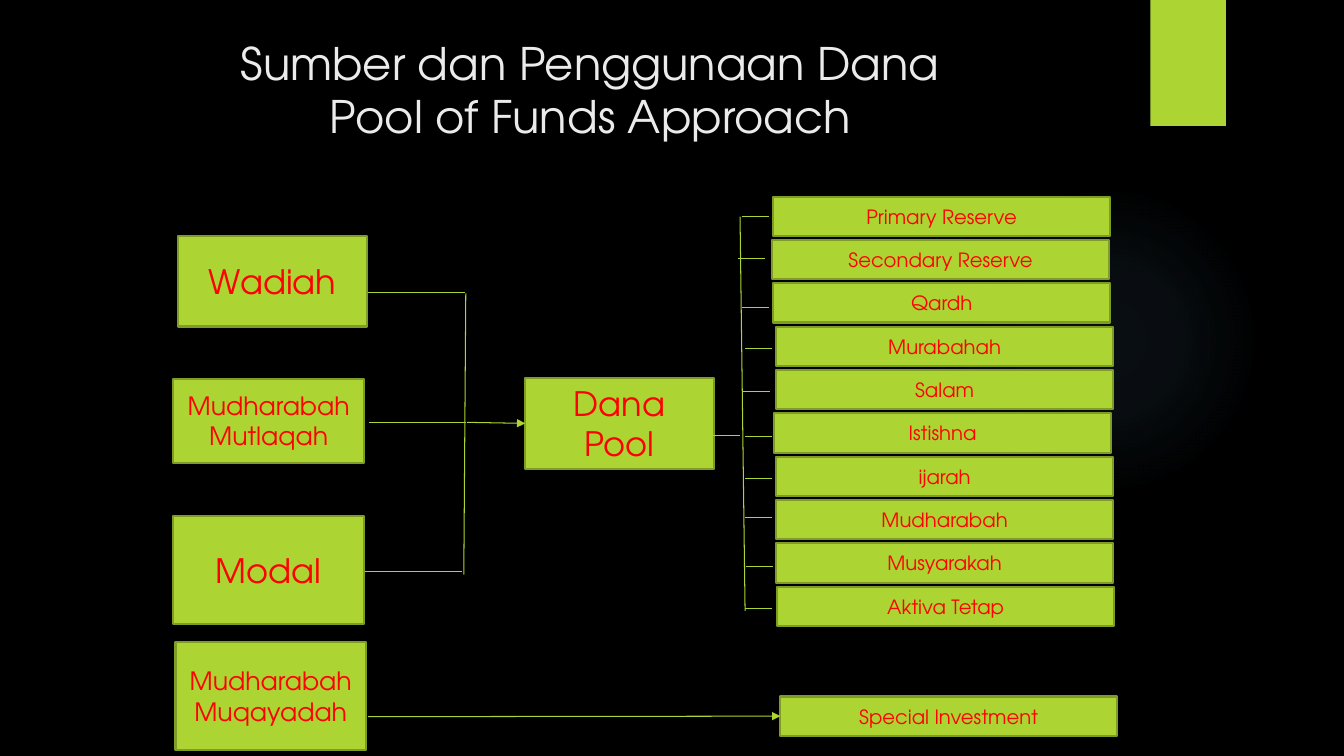
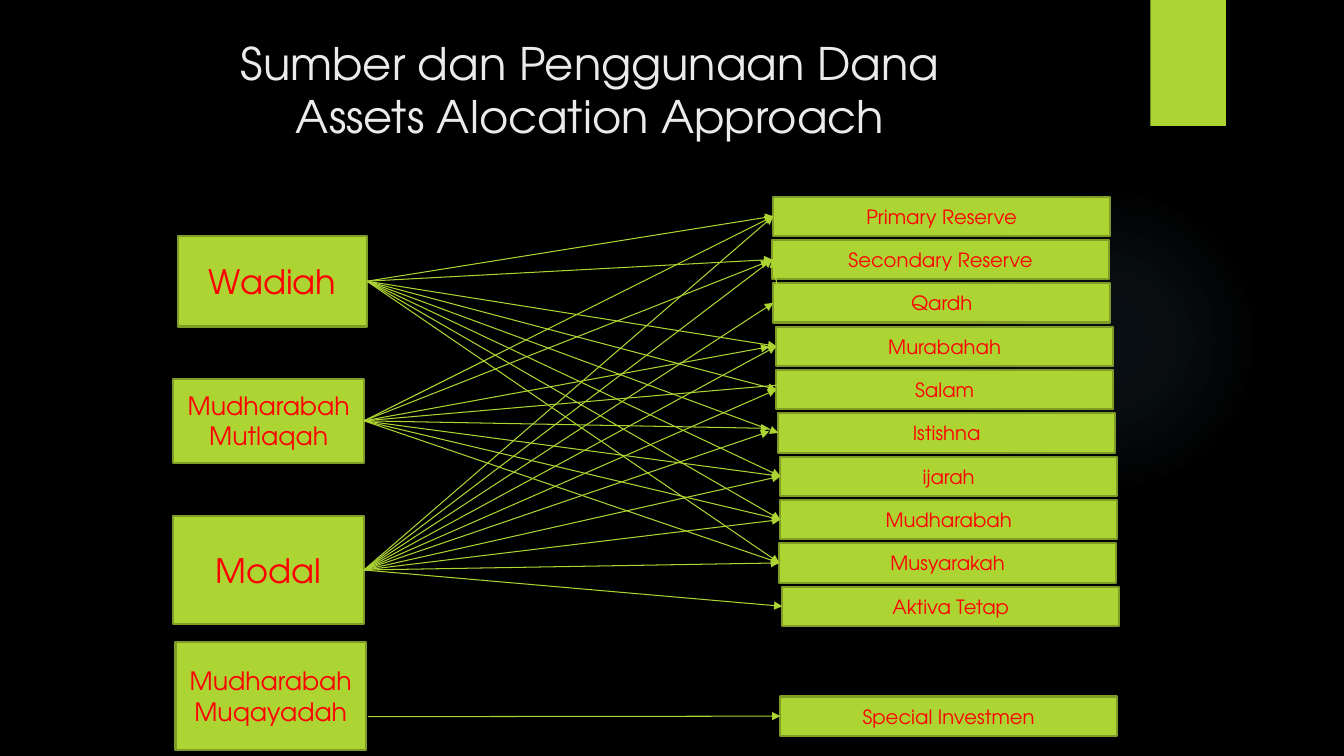
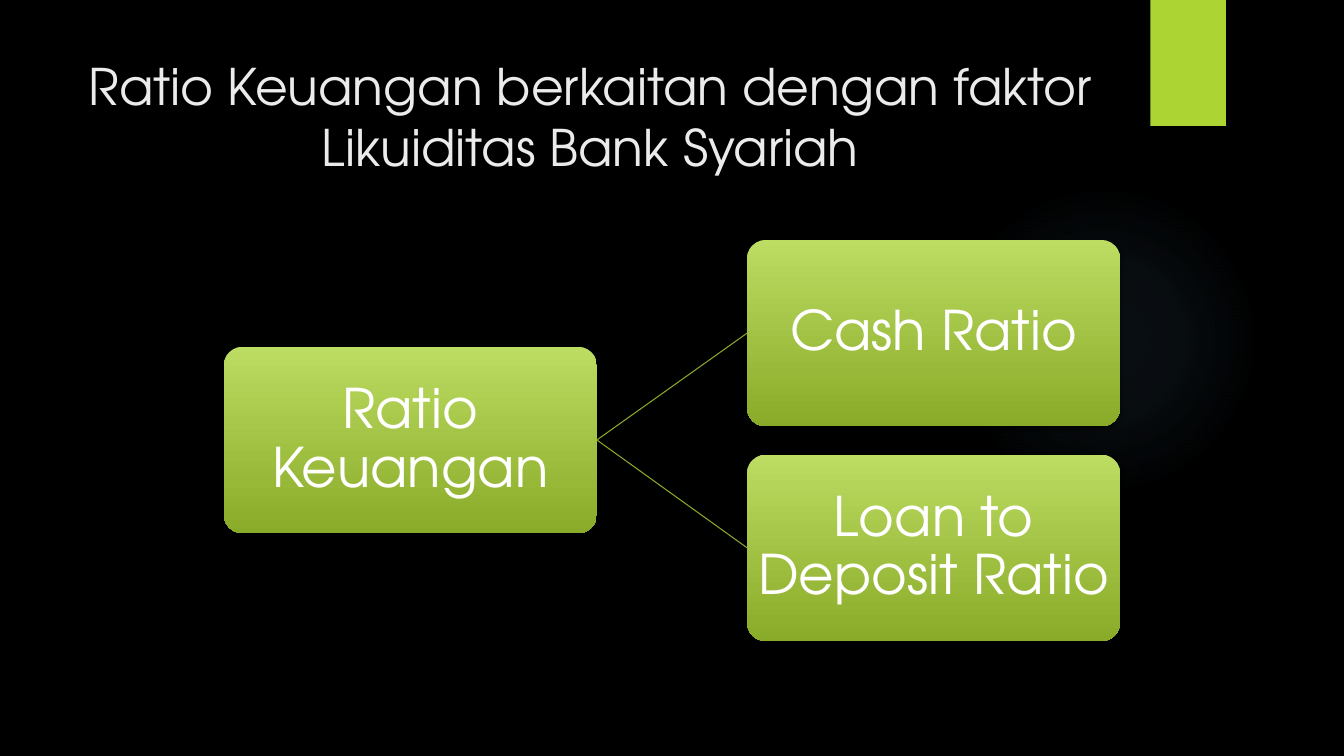
from lxml import etree
from pptx import Presentation
from pptx import util as u
from pptx.dml.color import RGBColor
from pptx.enum import shapes, text
from pptx.oxml import ns

FONT = "TeX Gyre Adventor"
COLORS = {"back": "000000", "title": "EBEBEB", "lime": "ACD433", "edge": "7F9D26",
          "label": "FF0000", "card_text": "FFFFFF", "card_top": "BCDC62",
          "card_end": "8AAA29", "glow": "7AC4F0"}

SOURCES = [
    ("Wadiah", 24, (1.77, 2.34, 1.87, 0.9)),
    ("Mudharabah Mutlaqah", 18, (1.72, 3.76, 1.89, 0.83)),
    ("Modal", 24, (1.72, 5.12, 1.89, 1.07)),
    ("Mudharabah Muqayadah", 18, (1.74, 6.37, 1.89, 1.07)),
]
USES = ["Primary Reserve", "Secondary Reserve", "Qardh", "Murabahah", "Salam",
        "Istishna", "ijarah", "Mudharabah", "Musyarakah", "Aktiva Tetap"]
USE_TOP, USE_PITCH, USE_W, USE_H = 1.95, 0.43, 3.34, 0.39

POOL = {
    "title": ["Sumber dan Penggunaan Dana", "Pool of Funds Approach"],
    "lefts": [7.67, 7.66, 7.67, 7.7, 7.7, 7.68, 7.7, 7.7, 7.7, 7.71],
    "special": "Special Investment",
    "lines": [(4.6, 5.7, 4.62, 2.91), (3.66, 4.19, 4.62, 4.19),
              (3.62, 5.67, 4.58, 5.67), (3.65, 2.9, 4.61, 2.9),
              (7.39, 6.06, 7.34, 2.15), (7.07, 4.32, 7.34, 4.32)],
    "branches": [(7.36, 2.15), (7.32, 2.56), (7.36, 3.05), (7.39, 3.46), (7.37, 3.88),
                 (7.39, 4.33), (7.39, 4.75), (7.39, 5.13), (7.4, 5.62), (7.39, 6.04)],
    "branch_w": 0.27,
}
ASSETS = {
    "title": ["Sumber dan Penggunaan Dana", "Assets Alocation Approach"],
    "lefts": [7.67, 7.66, 7.67, 7.7, 7.7, 7.72, 7.74, 7.74, 7.73, 7.76],
    "special": "Special Investmen",
    "fans": [[0, 1, 3, 4, 5, 6, 7, 8], [0, 1, 3, 4, 5, 6, 7, 8], list(range(10))],
    "free_ends": {(1, 1): (7.63, 2.59), (1, 3): (7.63, 3.44), (1, 4): (7.95, 3.8),
                  (1, 5): (7.63, 4.25), (2, 5): (7.63, 4.28)},
    "short_arrow": (7.76, 3.12, 7.66, 2.57),
}
RATIO_TITLE = ["Ratio Keuangan berkaitan dengan faktor Likuiditas Bank Syariah"]
RATIO_ROOT = ("Ratio Keuangan", 2.22, 3.44)
RATIO_LEAVES = [("Cash Ratio", 7.41, 2.38), ("Loan to Deposit Ratio", 7.41, 4.51)]
CARD_W, CARD_H = 3.7, 1.85


def rgb(name):
    return RGBColor.from_string(COLORS[name])


def inches(values):
    return [u.Inches(v) for v in values]


def write(tf, lines, size, color):
    tf.word_wrap = True
    p = tf.paragraphs[0]
    p.alignment = text.PP_ALIGN.CENTER
    for i, line in enumerate(lines):
        if i:
            p.add_line_break()
        r = p.add_run()
        r.text = line
        r.font.size, r.font.name = u.Pt(size), FONT
        r.font.color.rgb = rgb(color)
    return p


def add_shape(s, kind, at, fill=None, edge=None):
    sp = s.shapes.add_shape(kind, *inches(at))
    sp.shadow.inherit = False
    if fill:
        sp.fill.solid()
        sp.fill.fore_color.rgb = rgb(fill)
    if edge:
        sp.line.color.rgb = rgb(edge)
        sp.line.width = u.Pt(1.5)
    else:
        sp.line.fill.background()
    return sp


def add_gradient(sp, stops, direction):
    grad = etree.Element(ns.qn("a:gradFill"), rotWithShape="1")
    stop_list = etree.SubElement(grad, ns.qn("a:gsLst"))
    for pos, color, alpha in stops:
        gs = etree.SubElement(stop_list, ns.qn("a:gs"), pos=str(pos * 1000))
        clr = etree.SubElement(gs, ns.qn("a:srgbClr"), val=COLORS[color])
        etree.SubElement(clr, ns.qn("a:alpha"), val=str(alpha * 1000))
    if direction == "circle":
        path = etree.SubElement(grad, ns.qn("a:path"), path="circle")
        etree.SubElement(path, ns.qn("a:fillToRect"), l="50000", t="50000", r="50000", b="50000")
    else:
        etree.SubElement(grad, ns.qn("a:lin"), ang=str(direction * 60000), scaled="0")
    sp.element.spPr.insert(2, grad)


def add_shadow(sp):
    effects = sp.element.spPr.find(ns.qn("a:effectLst"))
    shadow = etree.SubElement(effects, ns.qn("a:outerShdw"), blurRad=str(u.Pt(3)),
                              dist=str(u.Pt(2)), dir="5400000", rotWithShape="0")
    clr = etree.SubElement(shadow, ns.qn("a:srgbClr"), val=COLORS["back"])
    etree.SubElement(clr, ns.qn("a:alpha"), val="45000")


def add_line(s, ends, color="lime", arrow=False, begin=None, end=None):
    c = s.shapes.add_connector(shapes.MSO_CONNECTOR.STRAIGHT, *inches(ends))
    if begin is not None:
        c.begin_connect(begin, 3)
    if end is not None:
        c.end_connect(end, 1)
    c.line.color.rgb = rgb(color)
    c.line.width = u.Pt(0.75)
    sp_pr = c.element.spPr
    if arrow:
        etree.SubElement(sp_pr.find(ns.qn("a:ln")), ns.qn("a:tailEnd"), type="triangle")
    etree.SubElement(sp_pr, ns.qn("a:effectLst"))


def add_box(s, label, size, at):
    sp = add_shape(s, shapes.MSO_SHAPE.RECTANGLE, at, "lime", "edge")
    sp.text_frame.vertical_anchor = text.MSO_ANCHOR.MIDDLE
    write(sp.text_frame, [label], size, "label")
    return sp


def add_card(s, label, left, top):
    sp = add_shape(s, shapes.MSO_SHAPE.ROUNDED_RECTANGLE, (left, top, CARD_W, CARD_H))
    sp.adjustments[0] = 0.1
    add_gradient(sp, [(0, "card_top", 100), (100, "card_end", 100)], 90)
    add_shadow(sp)
    tf = sp.text_frame
    tf.margin_left = tf.margin_right = tf.margin_top = tf.margin_bottom = u.Inches(0.03)
    tf.vertical_anchor = text.MSO_ANCHOR.MIDDLE
    write(tf, [label], 39, "card_text").line_spacing = 0.9
    return sp


def add_slide(prs, lines, size=32, at=(0.71, 0.3, 10.29, 1.1)):
    s = prs.slides.add_slide(prs.slide_layouts[5])
    title = s.shapes.title
    title.left, title.top, title.width, title.height = inches(at)
    tf = title.text_frame
    tf.auto_size = text.MSO_AUTO_SIZE.NONE
    tf.vertical_anchor = text.MSO_ANCHOR.TOP
    write(tf, lines, size, "title")
    return s


def decorate_layout(s):
    glow = add_shape(s, shapes.MSO_SHAPE.OVAL, (9.41, 1.83, 3.08, 3.08))
    add_gradient(glow, [(0, "glow", 7), (36, "glow", 6), (69, "glow", 0)], "circle")
    tab = add_shape(s, shapes.MSO_SHAPE.RECTANGLE, (11.41, 0, 0.75, 1.25), "lime")
    add_shadow(tab)
    tree = s.slide_layout.shapes.element
    for i, sp in enumerate((glow, tab)):
        sp.element.xpath(".//p:cNvPr")[0].set("id", str(101 + i))
        tree.insert(2 + i, sp.element)


def add_funds(s, data):
    sources = [add_box(s, *source) for source in SOURCES]
    uses = [add_box(s, label, 14, (left, USE_TOP + i * USE_PITCH, USE_W, USE_H))
            for i, (label, left) in enumerate(zip(USES, data["lefts"]))]
    special = add_box(s, data["special"], 14, (7.74, 6.91, USE_W, USE_H))
    add_line(s, (3.65, 7.11, 7.74, 7.11), arrow=True, end=special)
    return sources, uses


def build_pool(s):
    add_funds(s, POOL)
    pool = add_box(s, "Dana Pool", 24, (5.21, 3.75, 1.87, 0.9))
    add_line(s, (4.63, 4.19, 5.21, 4.19), arrow=True, end=pool)
    for ends in POOL["lines"]:
        add_line(s, ends)
    for x, y in POOL["branches"]:
        add_line(s, (x, y, x + POOL["branch_w"], y))


def build_assets(s):
    sources, uses = add_funds(s, ASSETS)
    for i, rows in enumerate(ASSETS["fans"]):
        for row in rows:
            free = ASSETS["free_ends"].get((i, row))
            end = None if free else uses[row]
            add_line(s, (0, 0) + (free or (0, 0)), arrow=True, begin=sources[i], end=end)
    add_line(s, ASSETS["short_arrow"], arrow=True)


def build_ratio(s):
    root = add_card(s, *RATIO_ROOT)
    for leaf in RATIO_LEAVES:
        card = add_card(s, *leaf)
        add_line(s, (0, 0, 0, 0), "card_end", begin=root, end=card)


def main():
    prs = Presentation()
    prs.slide_width, prs.slide_height = inches((13.33, 7.5))
    fill = prs.slide_master.background.fill
    fill.solid()
    fill.fore_color.rgb = rgb("back")
    s = add_slide(prs, POOL["title"])
    decorate_layout(s)
    build_pool(s)
    build_assets(add_slide(prs, ASSETS["title"]))
    build_ratio(add_slide(prs, RATIO_TITLE, 36, (0.71, 0.5, 10.29, 1.53)))
    prs.save("out.pptx")


if __name__ == "__main__":
    main()
